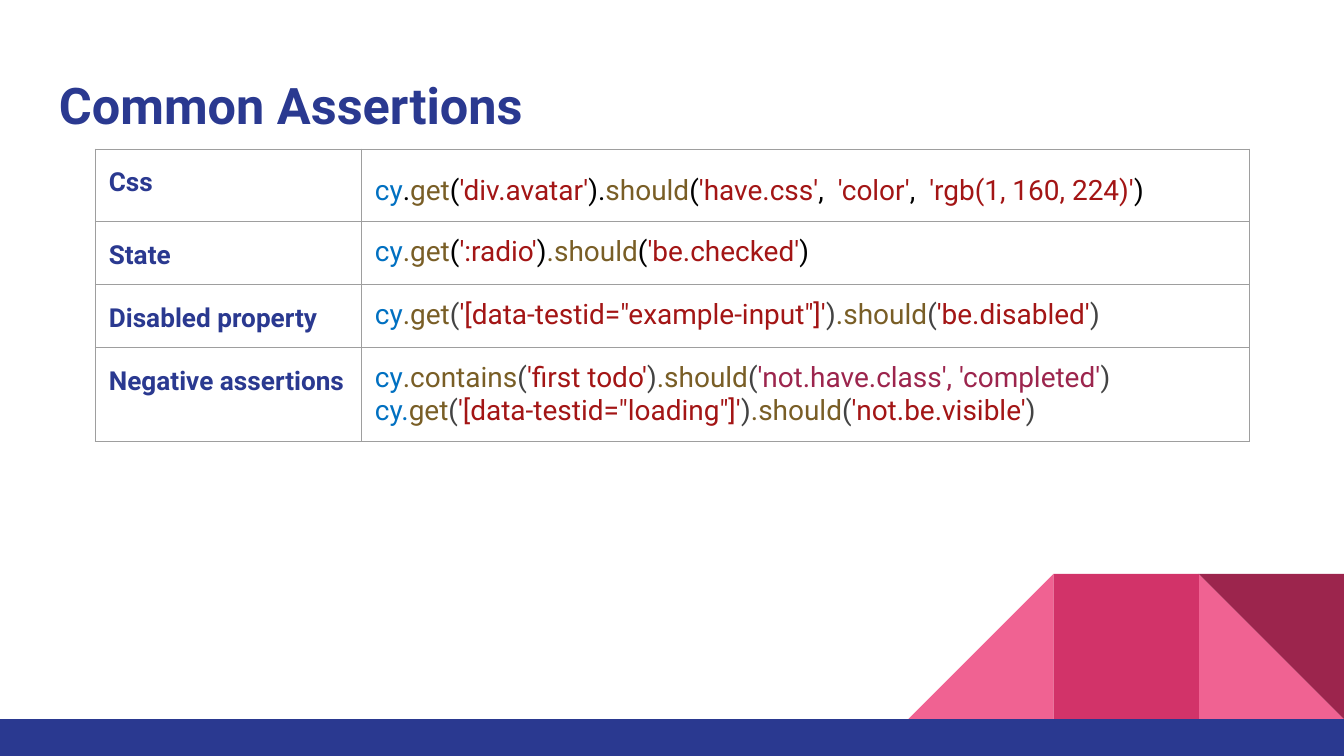
from lxml.etree import SubElement
from pptx import Presentation
from pptx.dml.color import RGBColor
from pptx.enum.shapes import MSO_SHAPE
from pptx.enum.text import MSO_ANCHOR
from pptx.oxml.ns import qn
from pptx.util import Inches, Pt

WIDTH = 10
HEIGHT = WIDTH * 9 / 16
TILE = 1.08
FLOOR = 5.35
FONT = "Roboto"
COLORS = {
    "navy": "2A3990", "pink": "F06292", "rose": "D23369", "wine": "9C254D",
    "border": "9E9E9E", "white": "FFFFFF", "blue": "0070C1",
    "brown": "795E26", "red": "A31515", "black": "000000", "gray": "434343",
}
CALL_BLACK = "blue brown black red black brown black red black"
CALL_GRAY = CALL_BLACK.replace("black", "gray")
CALL_WINE = "blue brown gray red gray brown gray wine gray"
CSS_CALL = ("blue black brown black red black brown black "
            "red black red black red black")
ROWS = [
    ("Css", 14, 4, 1.36, [
        ("cy|.|get|(|'div.avatar'|).|should|(|'have.css'|,  |'color'|,  |"
         "'rgb(1, 160, 224)'|)", CSS_CALL)]),
    ("State", 14, 4, None, [
        ("cy|.get|(|':radio'|)|.should|(|'be.checked'|)", CALL_BLACK)]),
    ("Disabled property", 14, 4, None, [
        ("cy|.get|(|'[data-testid=\"example-input\"]'|)|.should|("
         "|'be.disabled'|)", CALL_GRAY)]),
    ("Negative assertions", 18, 0, None, [
        ("cy|.contains|(|'first todo'|)|.should|("
         "|'not.have.class', 'completed'|)", CALL_WINE),
        ("cy.|get|(|'[data-testid=\"loading\"]'|)|.should|("
         "|'not.be.visible'|)", CALL_GRAY)]),
]


def rgb(name):
    return RGBColor.from_string(COLORS[name])


def style_run(r, size, color, bold=False):
    r.font.name = FONT
    r.font.size = Pt(size)
    r.font.bold = bold
    r.font.color.rgb = rgb(color)


def set_margins(frame):
    frame.margin_left = frame.margin_right = Inches(0.1)
    frame.margin_top = frame.margin_bottom = Inches(0.1)


def add_block(s, kind, x, y, w, h, color):
    sp = s.shapes.add_shape(kind, Inches(x), Inches(y), Inches(w), Inches(h))
    sp.shadow.inherit = False
    sp.fill.solid()
    sp.fill.fore_color.rgb = rgb(color)
    sp.line.fill.background()
    return sp


def add_tile(s, kind, column, color):
    x = WIDTH - column * TILE
    return add_block(s, kind, x, FLOOR - TILE, TILE, TILE, color)


def add_decoration(s):
    add_tile(s, MSO_SHAPE.RIGHT_TRIANGLE, 1, "pink")
    slope = add_tile(s, MSO_SHAPE.RIGHT_TRIANGLE, 3, "pink")
    slope._element.spPr.find(qn("a:xfrm")).set("flipH", "1")
    add_tile(s, MSO_SHAPE.RECTANGLE, 2, "rose")
    add_tile(s, MSO_SHAPE.RIGHT_TRIANGLE, 1, "wine").rotation = 180
    add_block(s, MSO_SHAPE.RECTANGLE, 0, FLOOR, WIDTH, HEIGHT - FLOOR, "navy")


def add_title(s, text):
    sp = s.shapes.add_textbox(Inches(0.34), Inches(0.45), Inches(9.32), Inches(0.66))
    tf = sp.text_frame
    tf.word_wrap = True
    tf.vertical_anchor = MSO_ANCHOR.MIDDLE
    set_margins(tf)
    tf.text = text
    style_run(tf.paragraphs[0].runs[0], 27, "navy", True)


def style_cell(cell):
    set_margins(cell)
    tcPr = cell._tc.get_or_add_tcPr()
    for side in ("a:lnL", "a:lnR", "a:lnT", "a:lnB"):
        ln = SubElement(tcPr, qn(side), w=str(Pt(0.75)))
        fill = SubElement(ln, qn("a:solidFill"))
        SubElement(fill, qn("a:srgbClr"), val=COLORS["border"])
    cell.fill.background()


def fill_label(cell, text, before, after):
    cell.text_frame.text = text
    p = cell.text_frame.paragraphs[0]
    p.line_spacing = 1.15
    p.space_before, p.space_after = Pt(before), Pt(after)
    style_run(p.runs[0], 14, "navy", True)


def fill_code(cell, lines, spacing):
    tf = cell.text_frame
    for i, (code, colors) in enumerate(lines):
        p = tf.add_paragraph() if i else tf.paragraphs[0]
        p.line_spacing = spacing
        for text, color in zip(code.split("|"), colors.split()):
            r = p.add_run()
            r.text = text
            style_run(r, 15, color)


def add_assertions(s):
    widths = (1.98, 6.61)
    row_height = 0.42
    frame = s.shapes.add_table(len(ROWS), len(widths), Inches(0.71), Inches(1.11),
                               Inches(sum(widths)), Inches(row_height * len(ROWS)))
    table = frame.table
    table.first_row = table.horz_banding = False
    for column, width in zip(table.columns, widths):
        column.width = Inches(width)
    for i, (label, before, after, spacing, lines) in enumerate(ROWS):
        for cell in table.rows[i].cells:
            style_cell(cell)
        fill_label(table.cell(i, 0), label, before, after)
        fill_code(table.cell(i, 1), lines, spacing)


def main():
    prs = Presentation()
    prs.slide_width, prs.slide_height = Inches(WIDTH), Inches(HEIGHT)
    s = prs.slides.add_slide(prs.slide_layouts[6])
    s.background.fill.solid()
    s.background.fill.fore_color.rgb = rgb("white")
    add_decoration(s)
    add_title(s, "Common Assertions")
    add_assertions(s)
    prs.save("out.pptx")


if __name__ == "__main__":
    main()
